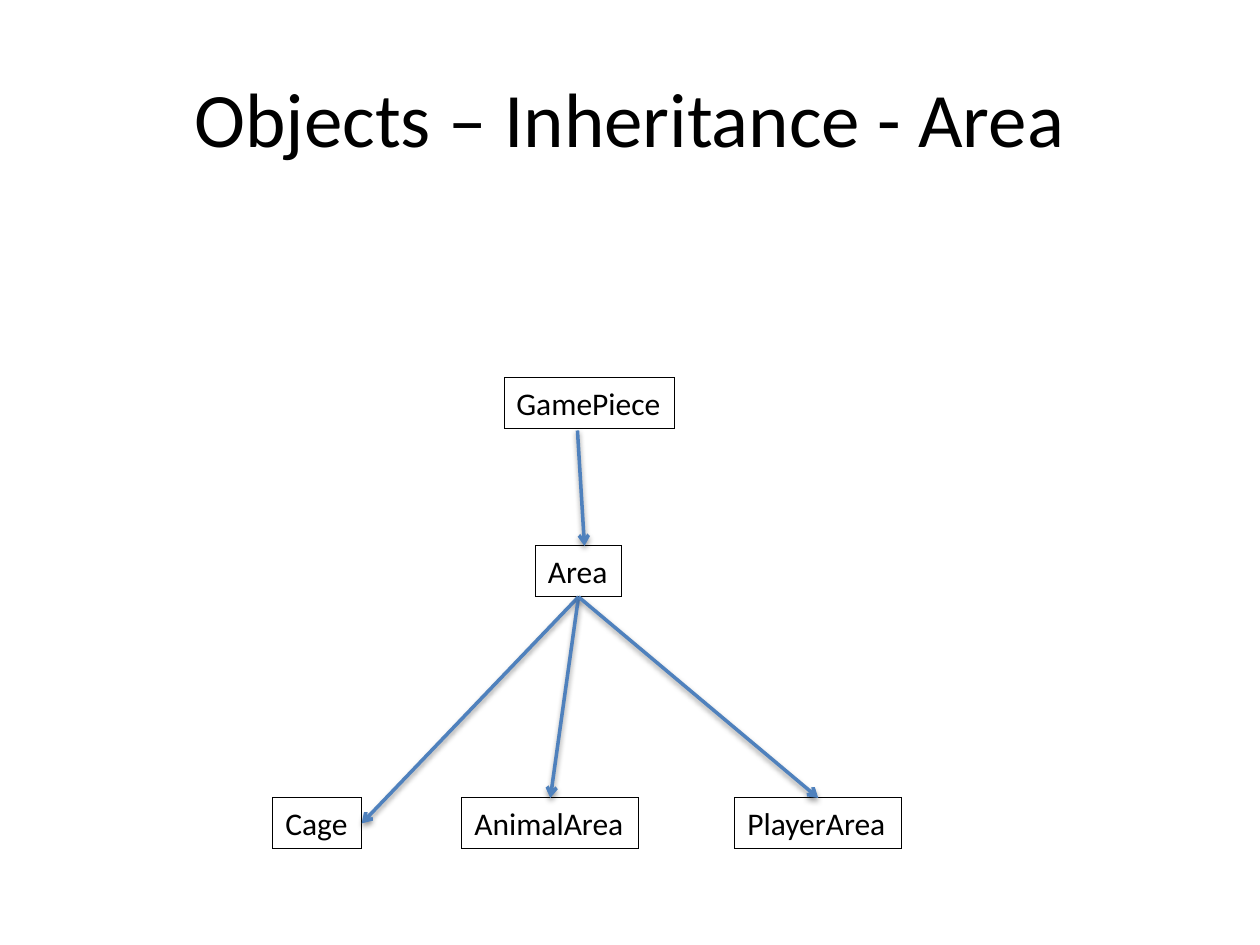
from lxml import etree
from pptx import Presentation
from pptx.dml.color import RGBColor
from pptx.enum.shapes import MSO_CONNECTOR
from pptx.enum.text import MSO_ANCHOR, MSO_AUTO_SIZE, PP_ALIGN
from pptx.oxml.ns import qn
from pptx.util import Pt

STRAIGHT = MSO_CONNECTOR.STRAIGHT
MIDDLE = MSO_ANCHOR.MIDDLE
FIT_SHAPE = MSO_AUTO_SIZE.SHAPE_TO_FIT_TEXT
CENTER, LEFT = PP_ALIGN.CENTER, PP_ALIGN.LEFT

TITLE = "Objects – Inheritance - Area"
BOX_HEIGHT = 29.08
ROOT_TOP, PARENT_TOP, CHILD_TOP = 216, 312, 456
CLASSES = [
    ("Area", 306, PARENT_TOP, 49.2),
    ("Cage", 156, CHILD_TOP, 50.7),
    ("AnimalArea", 264, CHILD_TOP, 101),
    ("PlayerArea", 420, CHILD_TOP, 95.3),
    ("GamePiece", 288, ROOT_TOP, 97.6),
]
AREA_BOTTOM = (330.6, PARENT_TOP + BOX_HEIGHT)
ARROWS = [
    (AREA_BOTTOM, (206.7, CHILD_TOP + BOX_HEIGHT / 2)),
    (AREA_BOTTOM, (314.5, CHILD_TOP)),
    (AREA_BOTTOM, (467.6, CHILD_TOP)),
    ((330, 246), (334, PARENT_TOP)),
]


def color(value):
    """Turn a hex string into a colour."""
    return RGBColor.from_string(value)


def apply(target, **values):
    """Set each named attribute on the target."""
    for name, value in values.items():
        setattr(target, name, value)


def write(frame, text, size, alignment):
    """Write one formatted paragraph into a text frame."""
    para = frame.paragraphs[0]
    para.alignment = alignment
    span = para.add_run()
    span.text = text
    apply(span.font, name="Calibri", size=Pt(size))
    span.font.color.rgb = color("000000")


def add_class(page, label, left, top, width):
    """Add a class name framed by a line of default width."""
    box = page.shapes.add_textbox(Pt(left), Pt(top), Pt(width), Pt(BOX_HEIGHT))
    apply(box.text_frame, word_wrap=False, auto_size=FIT_SHAPE)
    box.line.color.rgb = color("000000")
    write(box.text_frame, label, 18, LEFT)


def add_arrow(page, start, end):
    """Add an arrow that keeps the soft shadow of the theme."""
    arrow = page.shapes.add_connector(STRAIGHT, *map(Pt, start + end))
    arrow.line.color.rgb = color("4F81BD")
    arrow.line.width = Pt(2)
    outline = arrow.element.spPr.find(qn("a:ln"))
    etree.SubElement(outline, qn("a:tailEnd"), type="arrow")


def main():
    """Build the inheritance slide."""
    deck = Presentation()
    apply(deck, slide_width=Pt(720), slide_height=Pt(540))
    page = deck.slides.add_slide(deck.slide_layouts[5])
    title = page.shapes.title
    apply(title, left=Pt(36), top=Pt(21.6), width=Pt(648), height=Pt(90))
    title.text_frame.vertical_anchor = MIDDLE
    write(title.text_frame, TITLE, 44, CENTER)
    for item in CLASSES:
        add_class(page, *item)
    for start, end in ARROWS:
        add_arrow(page, start, end)
    deck.save("out.pptx")


if __name__ == "__main__":
    main()
